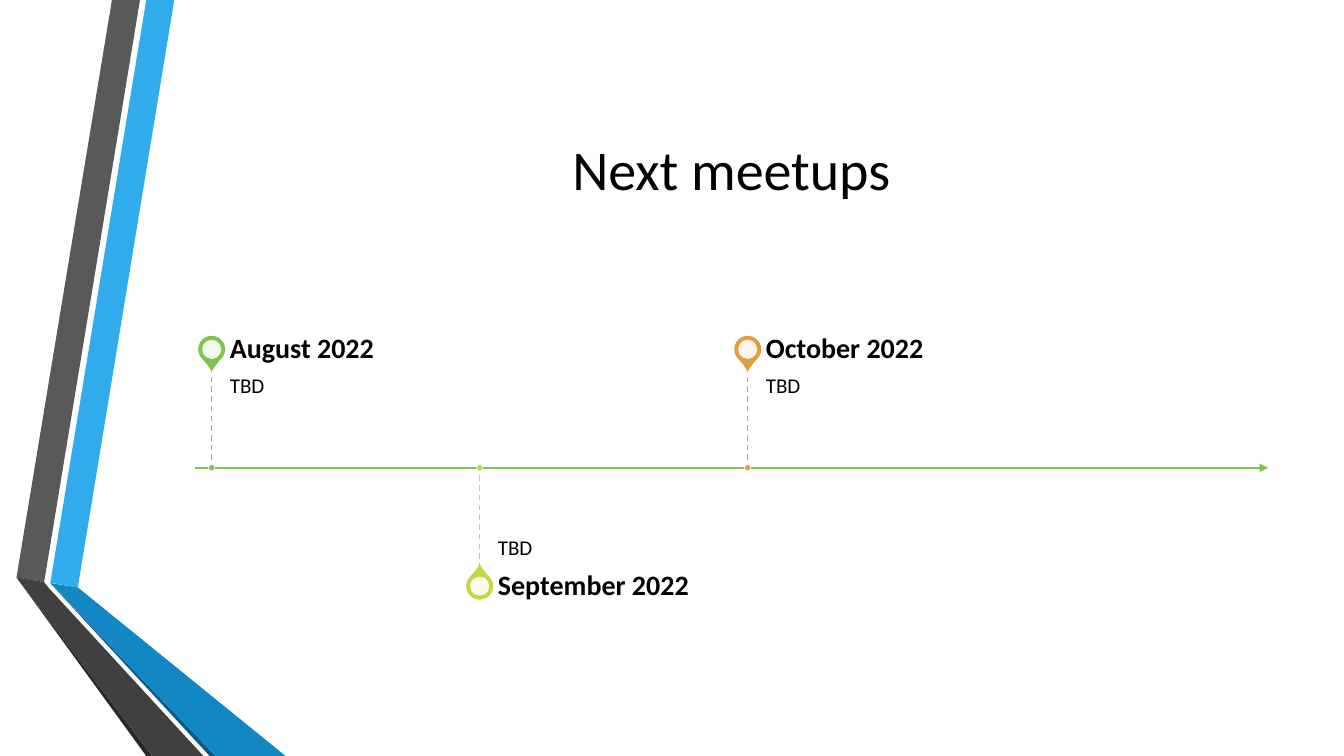
from lxml.etree import SubElement
from pptx import Presentation
from pptx.dml.color import RGBColor
from pptx.enum.dml import MSO_LINE_DASH_STYLE as Dash
from pptx.enum.shapes import MSO_CONNECTOR_TYPE as Connector, MSO_SHAPE as Shape
from pptx.enum.text import MSO_ANCHOR as Anchor, PP_ALIGN as Align
from pptx.oxml.ns import qn
from pptx.util import Pt

BLACK = RGBColor(0x00, 0x00, 0x00)
WHITE = RGBColor(0xFF, 0xFF, 0xFF)
GREEN = RGBColor(0x80, 0xC3, 0x4F)
LIME = RGBColor(0xC8, 0xD3, 0x46)
ORANGE = RGBColor(0xE2, 0x9D, 0x3E)
SKY = RGBColor(0x30, 0xAC, 0xEC)
BLUE = RGBColor(0x12, 0x87, 0xC3)
NAVY = RGBColor(0x0C, 0x5A, 0x82)
GREY = RGBColor(0x59, 0x59, 0x59)
DARK_GREY = RGBColor(0x40, 0x40, 0x40)
CHARCOAL = RGBColor(0x26, 0x26, 0x26)

RIBBONS = [
    (SKY, [(36, 416.2), (55.6, 419.6), (124.5, 0), (104.5, 0)]),
    (GREY, [(100, 0), (80, 0), (11.8, 412.5), (31.6, 415.7)]),
    (CHARCOAL, [(11.8, 412.5), (104.5, 540), (108.5, 540)]),
    (NAVY, [(36, 416.7), (149.7, 540), (154, 540)]),
    (BLUE, [(36, 416.5), (154, 540), (204, 540), (55.6, 419.6)]),
    (DARK_GREY, [(145.3, 540), (34.5, 419.6), (31.4, 415.7),
                 (11.8, 412.5), (108.5, 540)]),
]

AXIS_Y = 334.1
FIRST_X, STEP_X = 151.2, 191.45
STEM = 72
LABEL_HEIGHT = 25.2
MEETUPS = [("August 2022", "TBD", GREEN),
           ("September 2022", "TBD", LIME),
           ("October 2022", "TBD", ORANGE)]


class Page:
    def __init__(self, slide, font="Calibri"):
        self.shapes = slide.shapes
        self.font = font

    def outline(self, points, color):
        corners = [(Pt(x), Pt(y)) for x, y in points]
        builder = self.shapes.build_freeform(*corners[0])
        builder.add_line_segments(corners[1:], close=True)
        shape = builder.convert_to_shape()
        shape.shadow.inherit = False
        shape.fill.solid()
        shape.fill.fore_color.rgb = color
        shape.line.fill.background()

    def centred(self, kind, x, y, size, fill, line=None, width=1, opacity=100):
        """Add a square preset shape around the point x, y."""
        shape = self.shapes.add_shape(kind, Pt(x - size / 2), Pt(y - size / 2),
                                      Pt(size), Pt(size))
        shape.shadow.inherit = False
        shape.fill.solid()
        shape.fill.fore_color.rgb = fill
        if opacity < 100:
            color = shape.fill._xPr.find(".//" + qn("a:srgbClr"))
            SubElement(color, qn("a:alpha"), val=str(opacity * 1000))
        if line is None:
            shape.line.fill.background()
        else:
            shape.line.color.rgb = line
            shape.line.width = Pt(width)
        return shape

    def line(self, start, end, color, width, dash=None, arrow=False):
        connector = self.shapes.add_connector(
            Connector.STRAIGHT, *(Pt(value) for value in (*start, *end)))
        connector.line.color.rgb = color
        connector.line.width = Pt(width)
        if dash is not None:
            connector.line.dash_style = dash
        if arrow:
            SubElement(connector.line._get_or_add_ln(), qn("a:tailEnd"),
                       type="triangle")
        SubElement(connector._element.spPr, qn("a:effectLst"))

    def text(self, words, left, top, width, height, size=15, bold=False,
             align=Align.LEFT, anchor=Anchor.MIDDLE, insets=(0, 0, 0, 0)):
        box = self.shapes.add_textbox(Pt(left), Pt(top), Pt(width), Pt(height))
        frame = box.text_frame
        frame.word_wrap = True
        frame.vertical_anchor = anchor
        (frame.margin_left, frame.margin_top,
         frame.margin_right, frame.margin_bottom) = (Pt(inset) for inset in insets)
        para = frame.paragraphs[0]
        para.alignment = align
        para.line_spacing = 0.9
        span = para.add_run()
        span.text = words
        span.font.name = self.font
        span.font.size = Pt(size)
        span.font.bold = bold
        span.font.color.rgb = BLACK

    def meetup(self, x, month, detail, color, above):
        """Add a pin, its texts and its stem above or below the axis."""
        side = -1 if above else 1
        stem_end = AXIS_Y + side * STEM
        pin_y = stem_end + side * LABEL_HEIGHT / 2
        pin = self.centred(Shape.TEAR, x, pin_y, 18, color, color, 1.25)
        pin.adjustments[0] = 1.15
        pin.rotation = 135 if above else 315
        self.centred(Shape.OVAL, x, pin_y, 13.7, WHITE, opacity=90)
        self.text(detail, x + 13, min(AXIS_Y, stem_end), 319, STEM,
                  anchor=Anchor.TOP if above else Anchor.BOTTOM,
                  insets=(0, 7.2, 7.2, 11.5) if above else (0, 11.5, 0, 7.2))
        self.text(month, x + 13, pin_y - LABEL_HEIGHT / 2, 319, LABEL_HEIGHT,
                  size=20, bold=True, insets=(0, 0, 10, 0))
        self.line((x, stem_end), (x, AXIS_Y), color, 1, dash=Dash.DASH)
        self.centred(Shape.OVAL, x, AXIS_Y, 4.5, color, WHITE, 0.5)


def main():
    deck = Presentation()
    deck.slide_width, deck.slide_height = Pt(960), Pt(540)
    page = Page(deck.slides.add_slide(deck.slide_layouts[6]))
    for color, points in RIBBONS:
        page.outline(points, color)
    page.text("Next meetups", 139, 54, 766.8, 138.2, size=40,
              align=Align.CENTER, insets=(7.2, 3.6, 7.2, 3.6))
    page.line((139, AXIS_Y), (905.8, AXIS_Y), GREEN, 1.5, arrow=True)
    for index, (month, detail, color) in enumerate(MEETUPS):
        page.meetup(FIRST_X + index * STEP_X, month, detail, color,
                    above=index % 2 == 0)
    deck.save("out.pptx")


if __name__ == "__main__":
    main()
